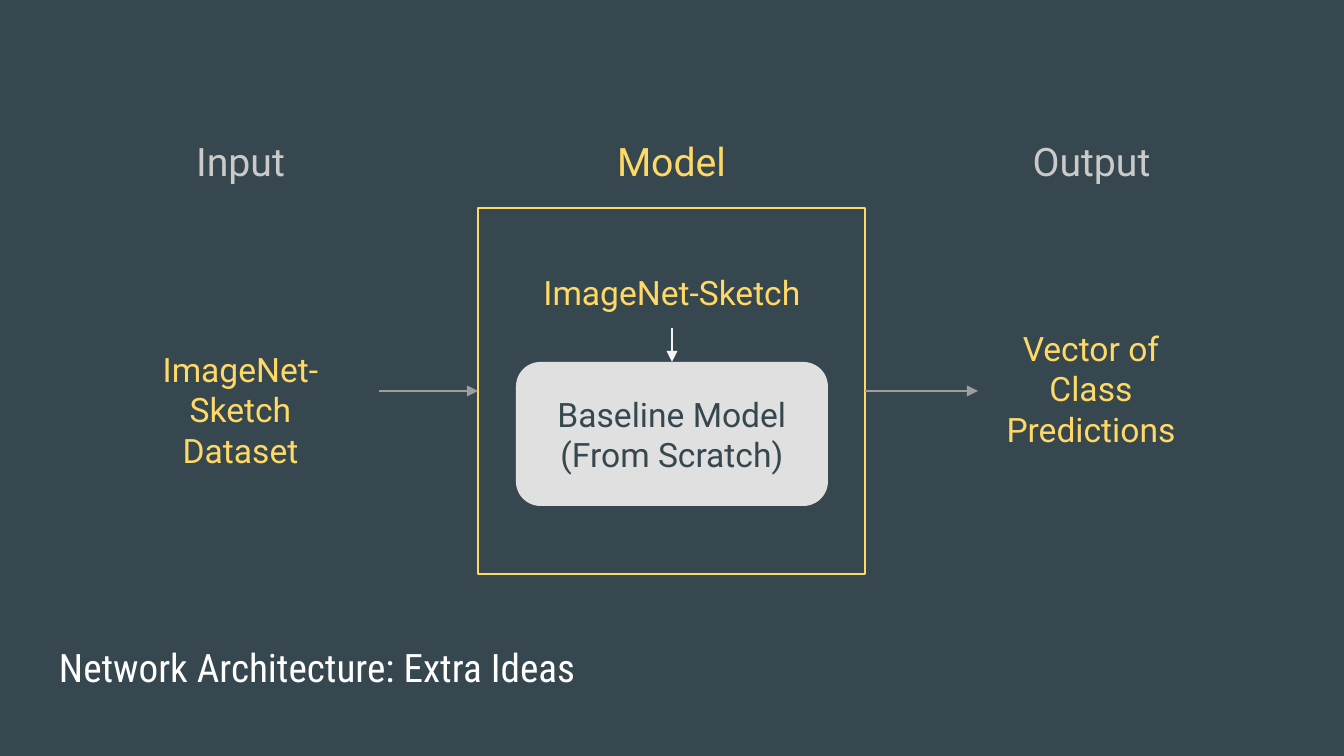
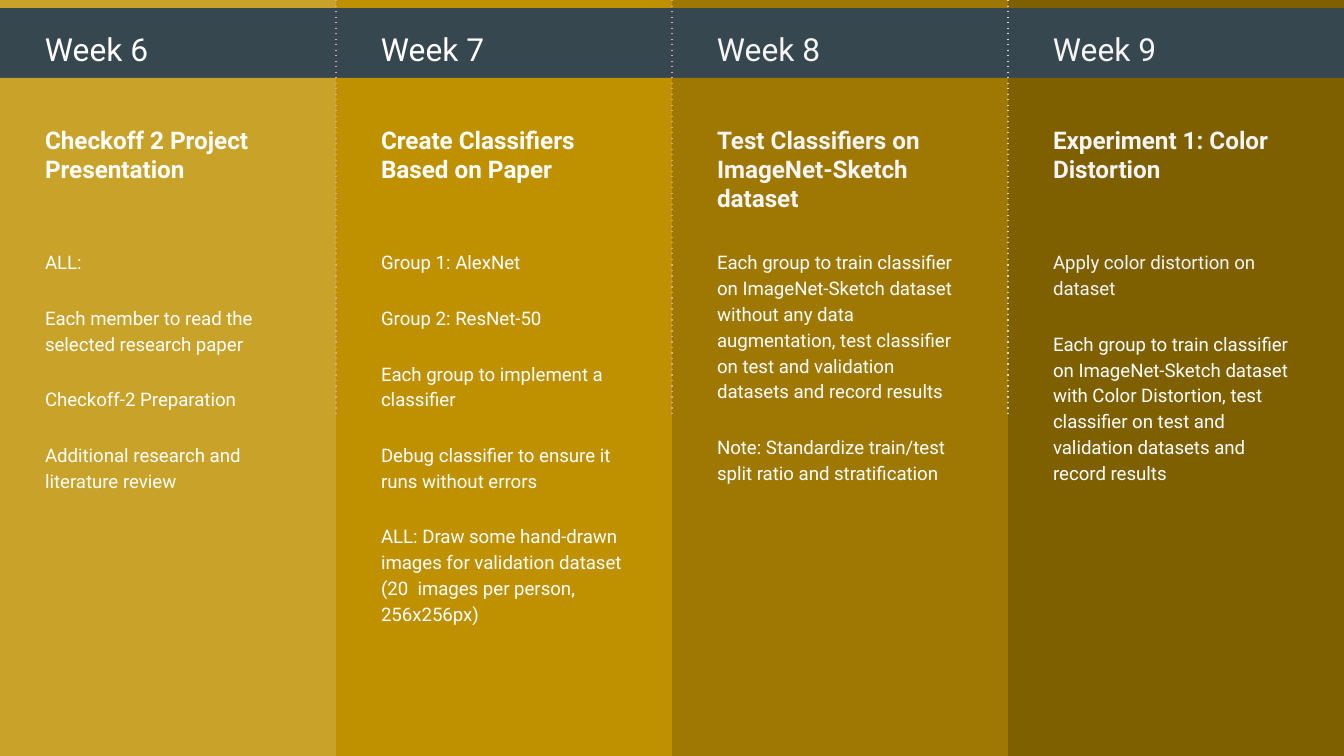
import pptx
import pptx.dml.color
import pptx.enum.shapes
import pptx.enum.text
import pptx.util
from lxml import etree
from pptx.oxml.ns import qn

RGB = pptx.dml.color.RGBColor
SHAPE = pptx.enum.shapes.MSO_SHAPE
ALIGN = pptx.enum.text.PP_ALIGN
ANCHOR = pptx.enum.text.MSO_ANCHOR

# Palette
SLATE = RGB(0x37, 0x47, 0x4F)
WHITE = RGB(0xFF, 0xFF, 0xFF)
PALE = RGB(0xF5, 0xF5, 0xF5)
YELLOW = RGB(0xFF, 0xD9, 0x66)
SILVER = RGB(0xCA, 0xCA, 0xCA)
LIGHT = RGB(0xE0, 0xE0, 0xE0)
GRAY = RGB(0x9E, 0x9E, 0x9E)
ROSE = RGB(0xED, 0xA2, 0x9B)
MIST = RGB(0xD9, 0xD9, 0xD9)
GOLDS = [RGB(0xC9, 0xA2, 0x2A), RGB(0xBF, 0x90, 0x00),
         RGB(0x9E, 0x78, 0x02), RGB(0x7F, 0x60, 0x00)]

# Sizes in px
WIDE, HIGH = 1344, 756
INSET = 13
COLUMN = WIDE // 4

# Week, heading, body lines, heading colour, first line colour, divider colour
WEEKS = [
    ("Week 6", "Checkoff 2 Project Presentation",
     ["ALL:", "Each member to read the selected research paper",
      "Checkoff-2 Preparation", "Additional research and literature review"],
     WHITE, WHITE, ROSE),
    ("Week 7", "Create Classifiers Based on Paper",
     ["Group 1: AlexNet", "Group 2: ResNet-50",
      "Each group to implement a classifier",
      "Debug classifier to ensure it runs without errors",
      "ALL: Draw some hand-drawn images for validation dataset "
      "(20  images per person, 256x256px)"],
     WHITE, WHITE, ROSE),
    ("Week 8", "Test Classifiers on ImageNet-Sketch dataset",
     ["Each group to train classifier on ImageNet-Sketch dataset without any "
      "data augmentation, test classifier on test and validation datasets and "
      "record results",
      "Note: Standardize train/test split ratio and stratification"],
     PALE, WHITE, MIST),
    ("Week 9", "Experiment 1: Color Distortion",
     ["Apply color distortion on dataset",
      "Each group to train classifier on ImageNet-Sketch dataset with Color "
      "Distortion, test classifier on test and validation datasets and record "
      "results"],
     PALE, PALE, None),
]


def px(num):
    return pptx.util.Emu(round(num * 914400 / 134.4))


def write(shape, *lines, size=18, color=WHITE, first=None, font="Roboto",
          bold=False, align=ALIGN.LEFT, anchor=ANCHOR.TOP, space=1.0, gap=0):
    """Fill a shape with paragraphs; first recolours the first one."""
    frame = shape.text_frame
    frame.word_wrap = True
    frame.auto_size = pptx.enum.text.MSO_AUTO_SIZE.NONE
    frame.vertical_anchor = anchor
    frame.margin_left = frame.margin_right = px(INSET)
    frame.margin_top = frame.margin_bottom = px(INSET)
    for num, line in enumerate(lines):
        para = frame.add_paragraph() if num else frame.paragraphs[0]
        para.alignment = align
        para.line_spacing = space
        para.space_before = pptx.util.Pt(gap if num else 0)
        run = para.add_run()
        run.text = line
        run.font.name = font
        run.font.size = pptx.util.Pt(size)
        run.font.bold = bold
        run.font.color.rgb = color if num or first is None else first


def label(shapes, box, *lines, **style):
    write(shapes.add_textbox(*map(px, box)), *lines, **style)


def block(shapes, box, fill=None, line=None, kind=SHAPE.RECTANGLE):
    shape = shapes.add_shape(kind, *map(px, box))
    shape.shadow.inherit = False
    if fill is None:
        shape.fill.background()
    else:
        shape.fill.solid()
        shape.fill.fore_color.rgb = fill
    if line is None:
        shape.line.fill.background()
    else:
        shape.line.color.rgb = line
        shape.line.width = pptx.util.Pt(0.75)
    return shape


def rule(shapes, ends, color, tag, mark):
    """Draw a line; tag and mark set its dash or arrowhead."""
    line = shapes.add_connector(
        pptx.enum.shapes.MSO_CONNECTOR.STRAIGHT, *map(px, ends))
    line.line.color.rgb = color
    line.line.width = pptx.util.Pt(0.75)
    props = line._element.spPr
    etree.SubElement(props.find(qn("a:ln")), qn(tag)).attrib.update(mark)
    etree.SubElement(props, qn("a:effectLst"))


def arrow(shapes, ends, color):
    rule(shapes, ends, color, "a:tailEnd", {"type": "triangle"})


def page(deck, index):
    slide = deck.slides.add_slide(deck.slide_layouts[index])
    slide.background.fill.solid()
    slide.background.fill.fore_color.rgb = SLATE
    return slide


def title(slide, text):
    shape = slide.shapes.title
    shape.left, shape.top, shape.width, shape.height = map(
        px, (46, 622, 882, 89))
    write(shape, text, size=21, font="Roboto Condensed", anchor=ANCHOR.MIDDLE)


def network(deck):
    slide = page(deck, 5)
    shapes = slide.shapes
    block(shapes, (478, 208, 387, 366), line=YELLOW)
    title(slide, "Network Architecture: Extra Ideas")

    # Stage names
    for text, left, width, color in [("Input", 180, 121, SILVER),
                                     ("Model", 590, 163, YELLOW),
                                     ("Output", 1010, 163, SILVER)]:
        label(shapes, (left, 124, width, 75), text, size=21, color=color,
              align=ALIGN.CENTER)

    # Stage contents
    for box, lines in [
            ((431, 259, 482, 67), ["ImageNet-Sketch"]),
            ((102, 336, 277, 109), ["ImageNet-Sketch", "Dataset"]),
            ((978, 315, 226, 149), ["Vector of", "Class", "Predictions"])]:
        label(shapes, box, *lines, color=YELLOW, align=ALIGN.CENTER)
    base = block(shapes, (516, 362, 312, 144), fill=LIGHT,
                 kind=SHAPE.ROUNDED_RECTANGLE)
    base.adjustments[0] = 0.17
    write(base, "Baseline Model (From Scratch)", color=SLATE,
          align=ALIGN.CENTER, anchor=ANCHOR.MIDDLE)

    # Flow
    arrow(shapes, (672, 328, 672, 362), PALE)
    arrow(shapes, (379, 391, 478, 391), GRAY)
    arrow(shapes, (865, 391, 978, 391), GRAY)


def column(slide, num, week, head, body, color, first, edge):
    shapes = slide.shapes.add_group_shape().shapes
    left = num * COLUMN
    text = left + 32
    for top, height in [(78, HIGH - 78), (0, 8)]:
        block(shapes, (left, top, COLUMN, height), fill=GOLDS[num])
    label(shapes, (text, 11, 200, 60), week, size=17, color=color, space=1.15)
    label(shapes, (text, 112, 273, 117), head, size=13, color=color, bold=True)
    label(shapes, (text, 235, 273, 450), *body, size=10, first=first,
          space=1.15, gap=16)
    if edge is not None:
        right = left + COLUMN
        rule(shapes, (right, 0, right, 416), edge, "a:prstDash",
             {"val": "dot"})


def plan(deck):
    slide = page(deck, 6)
    # Right to left, so each divider lies over the next column
    for num in reversed(range(len(WEEKS))):
        column(slide, num, *WEEKS[num])


def main():
    deck = pptx.Presentation()
    deck.slide_width, deck.slide_height = px(WIDE), px(HIGH)
    network(deck)
    plan(deck)
    deck.save("out.pptx")


if __name__ == "__main__":
    main()
